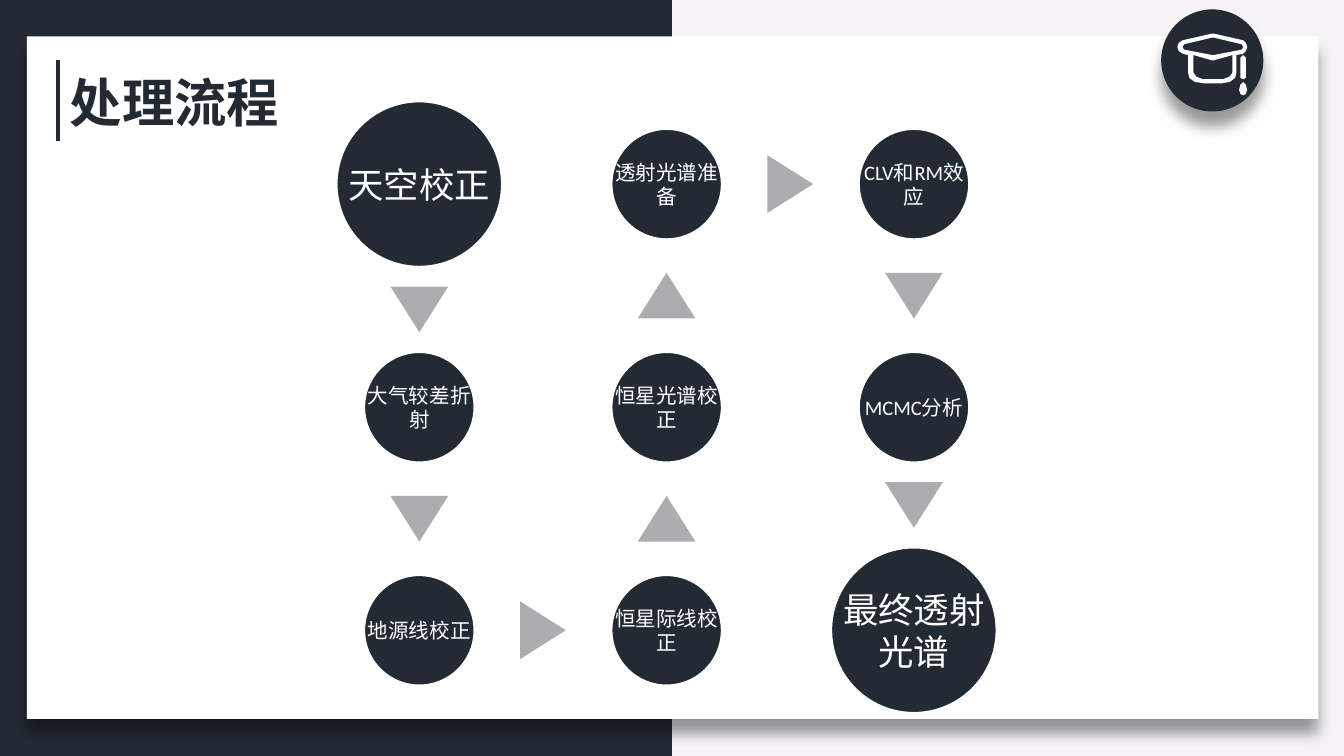
"""Build the processing workflow slide: nine steps snaking through a three by three grid."""
from math import atan2, degrees, hypot

from lxml import etree
from pptx import Presentation
from pptx.dml.color import RGBColor
from pptx.enum.shapes import MSO_CONNECTOR, MSO_SHAPE
from pptx.enum.text import MSO_ANCHOR, MSO_AUTO_SIZE, PP_ALIGN
from pptx.oxml.ns import qn
from pptx.util import Inches, Pt

RECTANGLE, OVAL, TRIANGLE = MSO_SHAPE.RECTANGLE, MSO_SHAPE.OVAL, MSO_SHAPE.ISOSCELES_TRIANGLE
STRAIGHT = MSO_CONNECTOR.STRAIGHT
MIDDLE = MSO_ANCHOR.MIDDLE
LEFT, CENTER = PP_ALIGN.LEFT, PP_ALIGN.CENTER
FIT_SHAPE, NO_FIT = MSO_AUTO_SIZE.SHAPE_TO_FIT_TEXT, MSO_AUTO_SIZE.NONE

SLIDE_WIDTH = 10
SLIDE_HEIGHT = SLIDE_WIDTH * 9 / 16

COLORS = {"navy": "222B34", "paper": "F6F4F7", "white": "FFFFFF", "arrow": "ACADAE", "shadow": "000000"}

TITLE = "处理流程"
STEPS = [
    ("天空校正", 0, 0, "large"),
    ("大气较差折射", 0, 1, "small"),
    ("地源线校正", 0, 2, "small"),
    ("恒星际线校正", 1, 2, "small"),
    ("恒星光谱校正", 1, 1, "small"),
    ("透射光谱准备", 1, 0, "small"),
    ("CLV和RM效应", 2, 0, "small"),
    ("MCMC分析", 2, 1, "small"),
    ("最终透射光谱", 2, 2, "large"),
]
STEP_STYLES = {
    "large": {"diameter": 1.23, "size": 19, "inset": 0.03},
    "small": {"diameter": 0.82, "size": 11, "inset": 0.02},
}
GRID_CENTER, GRID_TOP = 4.96, 1.37
COLUMN_GAP, ROW_GAP = 1.84, 1.66
ARROW_WIDTH, ARROW_HEIGHT = 0.43, 0.34

CAP_UNIT = Inches(0.01)
CAP_PARTS = [
    [
        [(902, 25), (903, 25), (925, 30), (927, 32), (928, 35), (927, 38), (925, 40), (920, 41),
         (920, 54), (919, 58), (915, 61), (909, 62), (896, 62), (889, 61), (885, 58), (884, 54),
         (884, 41), (880, 40), (877, 38), (876, 35), (877, 32), (880, 30)],
        [(902, 28), (881, 33), (880, 35), (881, 37), (902, 41), (903, 41), (924, 37), (925, 35),
         (924, 33), (903, 28)],
        [(888, 41), (888, 54), (890, 57), (895, 59), (902, 59), (910, 59), (915, 57), (917, 54),
         (917, 41), (903, 45), (902, 45)],
    ],
    [[(923, 43), (923, 58), (925, 59), (927, 58), (927, 43), (925, 41)]],
    [[(925, 61), (923, 63), (922, 67), (923, 70), (925, 71), (927, 70), (928, 67), (927, 63)]],
]


def rgb(name):
    return RGBColor.from_string(COLORS[name])


def paint(shape, fill, outline=None):
    shape.shadow.inherit = False
    shape.fill.solid()
    shape.fill.fore_color.rgb = rgb(fill)
    if outline:
        shape.line.color.rgb = rgb(outline)
        shape.line.width = Pt(1)
    else:
        shape.line.fill.background()


def add_shape(slide, preset, box, fill, outline=None):
    shape = slide.shapes.add_shape(preset, *map(Inches, box))
    paint(shape, fill, outline)
    return shape


def cast_shadow(shape):
    effects = shape._element.spPr.find(qn("a:effectLst"))
    distance = str(Pt(8))
    shadow = etree.SubElement(effects, qn("a:outerShdw"), blurRad=distance, dist=distance,
                              dir="5400000", algn="t", rotWithShape="0")
    color = etree.SubElement(shadow, qn("a:srgbClr"), val=COLORS["shadow"])
    etree.SubElement(color, qn("a:alpha"), val="40000")


def write(shape, text, font_name, color, align, font_format, frame_format):
    frame = shape.text_frame
    for name, value in frame_format.items():
        setattr(frame, name, value)
    paragraph = frame.paragraphs[0]
    paragraph.alignment = align
    paragraph.line_spacing = 1.0
    run = paragraph.add_run()
    run.text = text
    run.font.color.rgb = rgb(color)
    for name, value in {"name": font_name, **font_format}.items():
        setattr(run.font, name, value)
    etree.SubElement(run._r.get_or_add_rPr(), qn("a:ea"), typeface=font_name)


def add_backdrop(slide):
    slide.background.fill.solid()
    slide.background.fill.fore_color.rgb = rgb("paper")
    add_shape(slide, RECTANGLE, (0, 0, SLIDE_WIDTH / 2, SLIDE_HEIGHT), "navy")
    cast_shadow(add_shape(slide, RECTANGLE, (0.2, 0.27, 9.61, 5.08), "white"))
    rule = slide.shapes.add_connector(STRAIGHT, *map(Inches, (0.43, 0.45, 0.43, 1.05)))
    rule.line.color.rgb = rgb("navy")
    rule.line.width = Pt(2.25)
    etree.SubElement(rule._element.spPr, qn("a:effectLst"))


def add_badge(slide):
    cast_shadow(add_shape(slide, OVAL, (8.64, 0.07, 0.76, 0.76), "navy"))
    for contours in CAP_PARTS:
        start, *rest = contours[0]
        builder = slide.shapes.build_freeform(*start, scale=CAP_UNIT)
        builder.add_line_segments(rest)
        for start, *rest in contours[1:]:
            builder.move_to(*start)
            builder.add_line_segments(rest)
        paint(builder.convert_to_shape(), "white")


def add_title(slide):
    title = slide.shapes.title
    box = {"left": 0.42, "top": 0.47, "width": 1.76, "height": 0.57}
    for name, value in box.items():
        setattr(title, name, Inches(value))
    write(title, TITLE, "Noto Sans CJK SC", "navy", LEFT, {"size": Pt(28), "bold": True},
          {"word_wrap": False, "auto_size": FIT_SHAPE, "vertical_anchor": MIDDLE})
    slide.shapes._spTree.append(title._element)


def step_center(step):
    _, column, row, _ = step
    return GRID_CENTER + (column - 1) * COLUMN_GAP, GRID_TOP + row * ROW_GAP


def add_step(slide, step):
    label, _, _, style_name = step
    style = STEP_STYLES[style_name]
    diameter = style["diameter"]
    x, y = step_center(step)
    box = (x - diameter / 2, y - diameter / 2, diameter, diameter)
    add_shape(slide, OVAL, box, "navy", "white")
    caption = slide.shapes.add_textbox(*map(Inches, box))
    frame_format = {"word_wrap": True, "auto_size": NO_FIT, "vertical_anchor": MIDDLE}
    for side in ("left", "top", "right", "bottom"):
        frame_format[f"margin_{side}"] = Inches(style["inset"])
    write(caption, label, "Calibri", "white", CENTER, {"size": Pt(style["size"])}, frame_format)


def add_arrow(slide, step, following):
    (x, y), (next_x, next_y) = step_center(step), step_center(following)
    dx, dy = next_x - x, next_y - y
    radius, next_radius = (STEP_STYLES[s[3]]["diameter"] / 2 for s in (step, following))
    share = 0.5 + (radius - next_radius) / 2 / hypot(dx, dy)
    box = (x + dx * share - ARROW_WIDTH / 2, y + dy * share - ARROW_HEIGHT / 2, ARROW_WIDTH, ARROW_HEIGHT)
    add_shape(slide, TRIANGLE, box, "arrow").rotation = degrees(atan2(dy, dx)) + 90


def main():
    deck = Presentation()
    deck.slide_width, deck.slide_height = Inches(SLIDE_WIDTH), Inches(SLIDE_HEIGHT)
    slide = deck.slides.add_slide(deck.slide_layouts[5])
    add_backdrop(slide)
    add_badge(slide)
    add_title(slide)
    for step in STEPS:
        add_step(slide, step)
    for step, following in zip(STEPS, STEPS[1:]):
        add_arrow(slide, step, following)
    deck.save("out.pptx")


if __name__ == "__main__":
    main()
